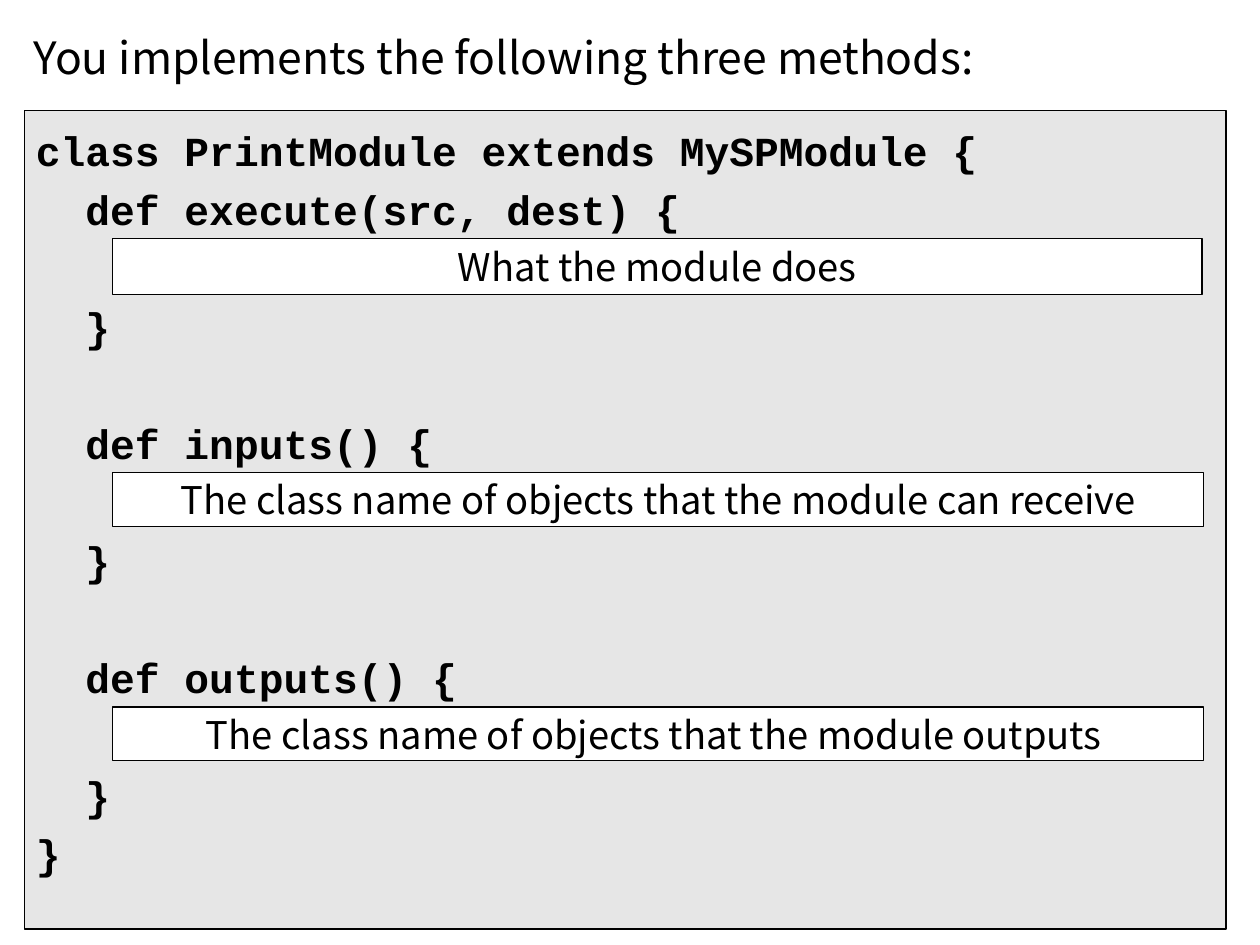
from dataclasses import dataclass

from pptx import Presentation
from pptx import util as u
from pptx.dml.color import RGBColor
from pptx.enum import shapes, text


@dataclass(frozen=True)
class Theme:
    ink: RGBColor = RGBColor(0, 0, 0)
    panel: RGBColor = RGBColor(0xE6, 0xE6, 0xE6)
    paper: RGBColor = RGBColor(0xFF, 0xFF, 0xFF)
    code: str = "Courier New"
    prose: str = "Noto Sans CJK JP"
    title: int = 28
    source: int = 26
    note: int = 24


THEME = Theme()
ROW = u.Pt(36.9)  # one line of code; also the side of a grid cell
INDENT = u.Pt(2 * 0.6 * THEME.source)  # two monospaced letters

# (row, indent level, text)
CODE = [
    (0, 0, "class PrintModule extends MySPModule {"),
    (1, 1, "def execute(src, dest) {"),
    (3, 1, "}"),
    (5, 1, "def inputs() {"),
    (7, 1, "}"),
    (9, 1, "def outputs() {"),
    (11, 1, "}"),
    (12, 0, "}"),
]

# (text, width, height)
NOTES = [
    ("What the module does", 18.6, 0.96),
    ("The class name of objects that the module can receive", 18.63, 0.92),
    ("The class name of objects that the module outputs ", 18.63, 0.92),
]


def cells(*sizes):
    """Turn grid cells into lengths."""
    return [u.Emu(round(size * ROW)) for size in sizes]


def style(para, face, size, bold=False):
    for run in para.runs:
        font = run.font
        font.name, font.size, font.bold = face, u.Pt(size), bold
        font.color.rgb = THEME.ink


def add_box(slide, area, fill):
    box = slide.shapes.add_shape(shapes.MSO_SHAPE.RECTANGLE, *cells(*area))
    box.shadow.inherit = False
    box.fill.solid()
    box.fill.fore_color.rgb = fill
    box.line.color.rgb = THEME.ink
    box.line.width = u.Pt(0)
    return box.text_frame


def add_title(slide, words, area):
    frame = slide.shapes.add_textbox(*cells(*area)).text_frame
    frame.word_wrap = True
    frame.text = words
    style(frame.paragraphs[0], THEME.prose, THEME.title)


def add_code(slide, lines, area):
    """Put each line on its row, with space before it for skipped rows."""
    frame = add_box(slide, area, THEME.panel)
    frame.word_wrap = True
    frame.vertical_anchor = text.MSO_ANCHOR.TOP
    frame.text = "\n".join(words for _, _, words in lines)
    last = -1
    for para, (row, level, _) in zip(frame.paragraphs, lines):
        para.alignment = text.PP_ALIGN.LEFT
        para.line_spacing = ROW
        para.space_before = u.Emu((row - last - 1) * ROW)
        para._p.get_or_add_pPr().set("marL", str(level * INDENT))
        style(para, THEME.code, THEME.source, bold=True)
        last = row


def add_note(slide, words, area):
    frame = add_box(slide, area, THEME.paper)
    frame.word_wrap = False
    frame.vertical_anchor = text.MSO_ANCHOR.MIDDLE
    frame.text = words
    para = frame.paragraphs[0]
    para.alignment = text.PP_ALIGN.CENTER
    style(para, THEME.prose, THEME.note)


def main():
    deck = Presentation()
    deck.slide_width, deck.slide_height = u.Cm(28), u.Cm(21)
    slide = deck.slides.add_slide(deck.slide_layouts[6])
    add_code(slide, CODE, (0.42, 1.89, 20.51, 13.97))
    for step, (words, width, height) in enumerate(NOTES):
        add_note(slide, words, (1.92, 4.07 + 4 * step, width, height))
    add_title(slide, "You implements the following three methods:",
              (0.38, 0.42, 16.8, 1.23))
    deck.save("out.pptx")


if __name__ == "__main__":
    main()
